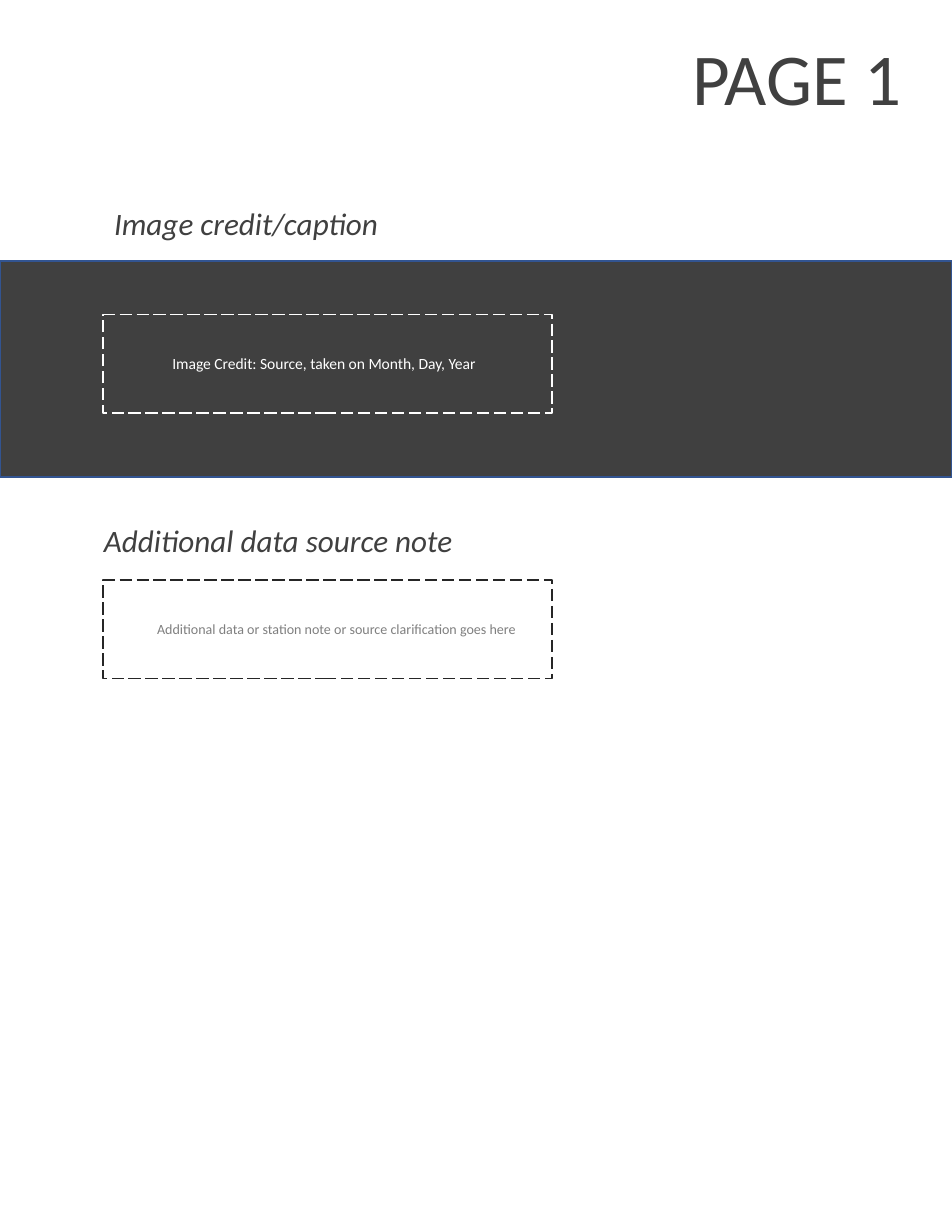
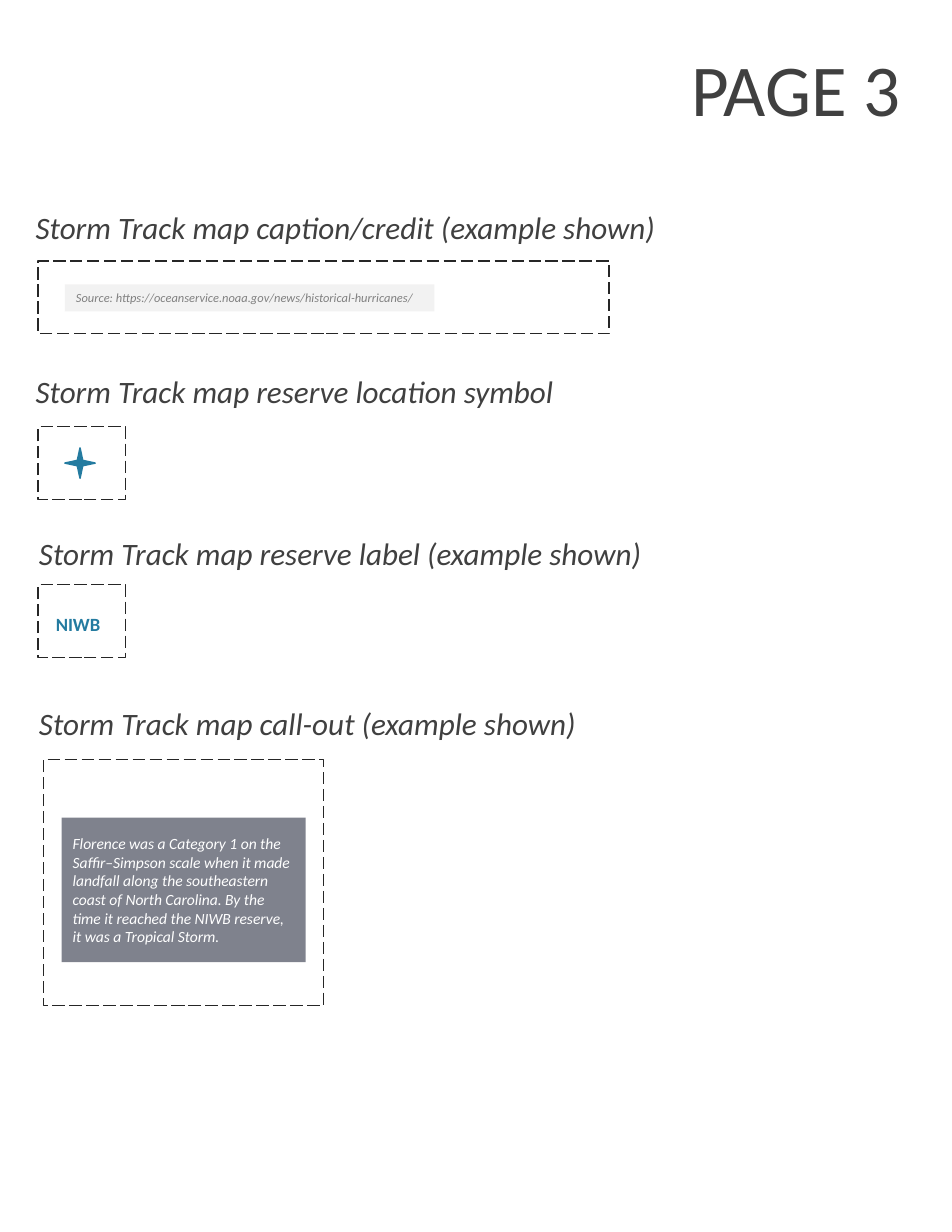
from pptx import Presentation
from pptx.dml.color import RGBColor
from pptx.enum.dml import MSO_LINE as Dash
from pptx.enum.shapes import MSO_SHAPE as Kind
from pptx.enum.text import MSO_ANCHOR as Anchor, MSO_AUTO_SIZE as Fit, PP_ALIGN as Align
from pptx.oxml.ns import qn
from pptx.util import Inches, Pt
from lxml.etree import SubElement

FONT = "Calibri"
DARK, INK, WHITE, TEAL = "404040", "262626", "FFFFFF", "247BA0"
hue = RGBColor.from_string


def write(shape, text, size, color, italic=False, bold=False, wrap=True,
          align=Align.LEFT, anchor=Anchor.TOP):
    frame = shape.text_frame
    frame.text = text
    frame.word_wrap = wrap
    frame.auto_size = Fit.NONE
    frame.vertical_anchor = anchor
    para = frame.paragraphs[0]
    para.alignment = align
    font = para.runs[0].font
    font.name, font.size = FONT, Pt(size)
    font.italic, font.bold = italic, bold
    font.color.rgb = hue(color)


def draw(slide, place, fill=None, line=None, dash=False, alpha=None, kind=Kind.RECTANGLE):
    shape = slide.shapes.add_shape(kind, *map(Inches, place))
    shape.shadow.inherit = False
    if fill:
        shape.fill.solid()
        shape.fill.fore_color.rgb = hue(fill)
        if alpha:
            color = shape.fill._xPr.find(qn("a:solidFill"))[0]
            SubElement(color, qn("a:alpha")).set("val", str(alpha * 1000))
    else:
        shape.fill.background()
    if line:
        shape.line.color.rgb = hue(line)
        shape.line.width = Pt(1)
        if dash:
            shape.line.dash_style = Dash.LONG_DASH
    else:
        shape.line.fill.background()
    return shape


deck = Presentation()
deck.slide_width, deck.slide_height = Inches(8.5), Inches(11)

pages = [
    ("PAGE 1", (6.08, 0.24, 2.34, 0.89), [
        ("Image credit/caption", 0.92, 1.78, 6.5),
        ("Additional data source note", 0.83, 4.61, 5.13),
    ]),
    ("PAGE 3", (6.07, 0.34, 2.25, 0.89), [
        ("Storm Track map caption/credit (example shown)", 0.22, 1.81, 8.07),
        ("Storm Track map reserve location symbol", 0.22, 3.28, 8.07),
        ("Storm Track map reserve label (example shown)", 0.25, 4.72, 8.07),
        ("Storm Track map call-out (example shown)", 0.25, 6.24, 8.07),
    ]),
]
slides = []
for name, place, heads in pages:
    slide = deck.slides.add_slide(deck.slide_layouts[5])
    title = slide.shapes.title
    title.left, title.top, title.width, title.height = map(Inches, place)
    write(title, name, 46.9, DARK)
    for text, left, top, width in heads:
        head = slide.shapes.add_textbox(*map(Inches, (left, top, width, 0.44)))
        write(head, text, 20, DARK, italic=True)
    slides.append(slide)
first, storm = slides

draw(first, (0, 2.33, 8.5, 1.93), DARK, "325491")
for top, color in [(2.81, WHITE), (5.18, INK)]:
    draw(first, (0.92, top, 4.01, 0.88), line=color, dash=True)
credit = first.shapes.add_textbox(*map(Inches, (1.44, 3.11, 2.98, 0.27)))
write(credit, "Image Credit: Source, taken on Month, Day, Year", 10, WHITE, wrap=False)
note = first.shapes.add_textbox(*map(Inches, (1.23, 5.49, 3.47, 0.25)))
write(note, "Additional data or station note or source clarification goes here",
      9, "7F7F7F", wrap=False, align=Align.RIGHT)

frames = [
    (0.34, 2.33, 5.1, 0.65),
    (0.34, 3.81, 0.78, 0.65),
    (0.34, 5.22, 0.78, 0.65),
    (0.39, 6.78, 2.5, 2.2),
]
for place in frames:
    draw(storm, place, line=INK, dash=True)

source = draw(storm, (0.58, 2.54, 3.3, 0.24), "E7E6E6", alpha=50)
write(source, "Source: https://oceanservice.noaa.gov/news/historical-hurricanes/",
      8, "808080", italic=True)
draw(storm, (0.58, 4, 0.27, 0.27), TEAL, TEAL, kind=Kind.STAR_4_POINT)
label = storm.shapes.add_textbox(*map(Inches, (0.4, 5.42, 0.7, 0.3)))
write(label, "NIWB", 12, TEAL, bold=True)
callout = draw(storm, (0.55, 7.3, 2.18, 1.29), "01071D", alpha=50)
write(callout, "Florence was a Category 1 on the Saffir–Simpson scale when it made landfall "
      "along the southeastern coast of North Carolina. By the time it reached the NIWB "
      "reserve, it was a Tropical Storm.", 10, WHITE, italic=True, anchor=Anchor.MIDDLE)

deck.save("out.pptx")
